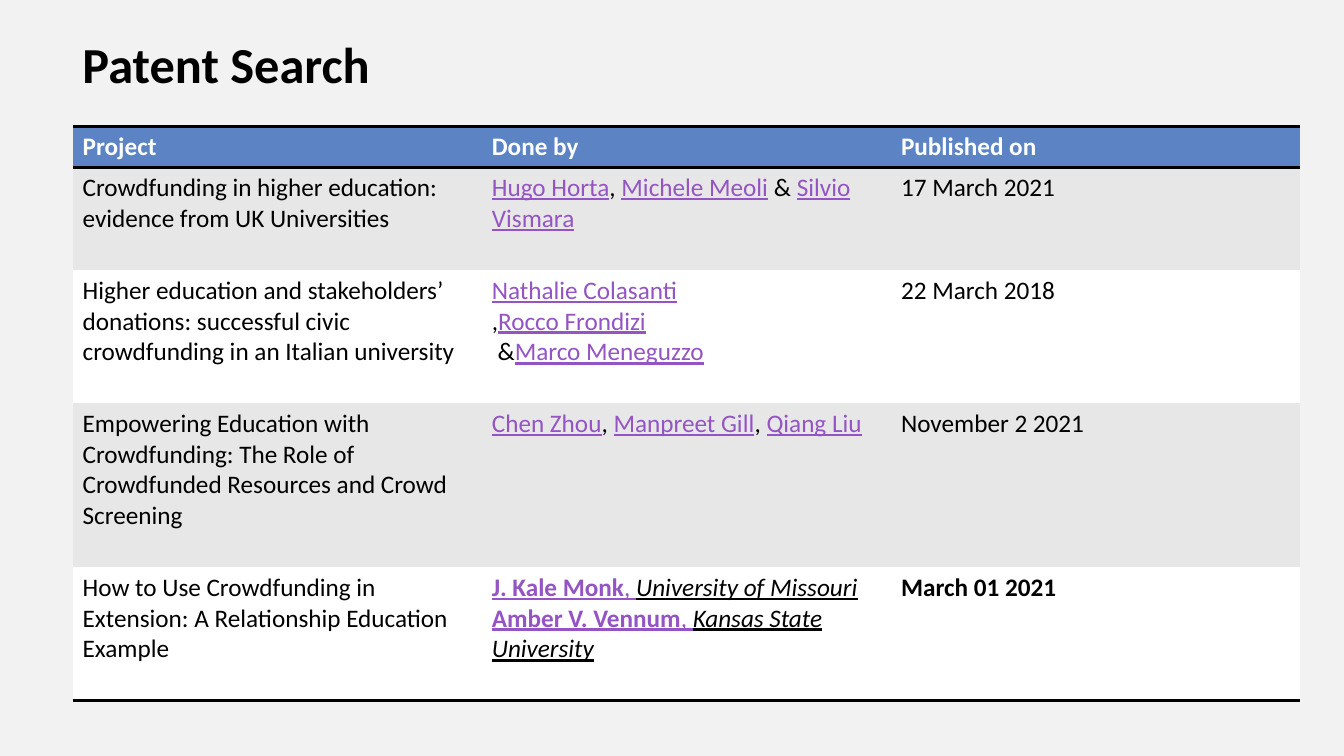
from pptx import Presentation, util as u
from pptx.dml.color import RGBColor
from pptx.enum import text
from pptx.oxml import parse_xml
from pptx.oxml.ns import nsdecls, qn

COLORS = {"back": "F2F2F2", "head": "5C83C4", "band": "E7E7E7", "plain": "FFFFFF",
          "ink": "000000", "white": "FFFFFF", "name": "9454C3"}

# Run styles: colour, bold, italic, underline
STYLES = {"head": ("white", True, False, False),
          "body": ("ink", False, False, False),
          "bold": ("ink", True, False, False),
          "name": ("name", False, False, True),
          "lead": ("name", True, False, True),
          "place": ("ink", False, True, True)}

NO_TABLE_STYLE = "{2D5ABB26-0587-4C30-8999-92F81FD0307C}"

# Each cell is a list of paragraphs, each paragraph a list of (text, style) runs
HEADER = [[[(label, "head")]] for label in ("Project", "Done by", "Published on")]
PATENTS = [
    [[[("Crowdfunding in higher education: evidence from UK Universities", "body")]],
     [[("Hugo Horta", "name"), (", ", "body"), ("Michele Meoli", "name"),
       (" & ", "body"), ("Silvio Vismara", "name")]],
     [[("17 March 2021", "body")]]],
    [[[("Higher education and stakeholders’ donations: successful civic "
        "crowdfunding in an Italian university", "body")]],
     [[("Nathalie Colasanti", "name")],
      [(",", "body"), ("Rocco Frondizi", "name")],
      [(" &", "body"), ("Marco Meneguzzo", "name")]],
     [[("22 March 2018", "body")]]],
    [[[("Empowering Education with Crowdfunding: The Role of Crowdfunded "
        "Resources and Crowd Screening", "body")]],
     [[("Chen Zhou", "name"), (", ", "body"), ("Manpreet Gill", "name"),
       (", ", "body"), ("Qiang Liu", "name")]],
     [[("November 2 2021", "body")]]],
    [[[("How to Use Crowdfunding in Extension: A Relationship Education Example", "body")]],
     [[("J. Kale Monk", "lead"), (", ", "name"), ("University of Missouri", "place")],
      [("Amber V. Vennum", "lead"), (", ", "name"), ("Kansas State University", "place")]],
     [[("March 01 2021", "bold")]]],
]


class Deck:
    """Holds the style and the current slide; lengths are percent of the slide."""

    font = "Calibri"

    def __init__(self, width, height):
        self.prs = Presentation()
        self.prs.slide_width, self.prs.slide_height = u.Inches(width), u.Inches(height)
        self.s = self.prs.slides.add_slide(self.prs.slide_layouts[6])
        self.fill(self.s.background.fill, "back")

    def x(self, share):
        return round(self.prs.slide_width * share / 100)

    def y(self, share):
        return round(self.prs.slide_height * share / 100)

    def fill(self, fill, color):
        fill.solid()
        fill.fore_color.rgb = RGBColor.from_string(COLORS[color])

    def set_text(self, tf, paragraphs, size):
        for i, runs in enumerate(paragraphs):
            p = tf.add_paragraph() if i else tf.paragraphs[0]
            p.font.name, p.font.size = self.font, u.Pt(size)
            for words, style in runs:
                r = p.add_run()
                r.text = words
                color, r.font.bold, r.font.italic, r.font.underline = STYLES[style]
                r.font.color.rgb = RGBColor.from_string(COLORS[color])

    def title(self, words, left, top, width, height):
        sp = self.s.shapes.add_textbox(self.x(left), self.y(top), self.x(width), self.y(height))
        tf = sp.text_frame
        tf.word_wrap = True
        tf.vertical_anchor = text.MSO_ANCHOR.TOP
        self.set_text(tf, [[(words, "bold")]], 36)
        tf.paragraphs[0].line_spacing = 0.9

    def border(self, cell, side):
        line = parse_xml(f'<a:{side} {nsdecls("a")} w="25400"><a:solidFill>'
                         f'<a:srgbClr val="{COLORS["ink"]}"/></a:solidFill></a:{side}>')
        # Borders come before the fill in the cell properties
        pr = cell._tc.get_or_add_tcPr()
        pr.insert(len(pr.findall(qn("a:lnT"))), line)

    def table(self, rows, heights, left, top, width):
        frame = self.s.shapes.add_table(len(rows), len(rows[0]), self.x(left), self.y(top),
                                        self.x(width), self.y(sum(heights)))
        table = frame.table
        table._tbl.tblPr.find(qn("a:tableStyleId")).text = NO_TABLE_STYLE
        for i, (cells, height) in enumerate(zip(rows, heights)):
            table.rows[i].height = self.y(height)
            color = "head" if i == 0 else "band" if i % 2 else "plain"
            for j, paragraphs in enumerate(cells):
                cell = table.cell(i, j)
                self.set_text(cell.text_frame, paragraphs, 18)
                self.fill(cell.fill, color)
                if i == 0:
                    self.border(cell, "lnT")
                if i in (0, len(rows) - 1):
                    self.border(cell, "lnB")


def main():
    deck = Deck(13.33, 7.5)
    # Heading
    deck.title("Patent Search", 5.4, 4.7, 45, 12)
    # Patent table
    deck.table([HEADER] + PATENTS, [5.4, 13.6, 17.6, 21.7, 17.6], 5.4, 16.75, 91.35)
    deck.prs.save("out.pptx")


if __name__ == "__main__":
    main()
